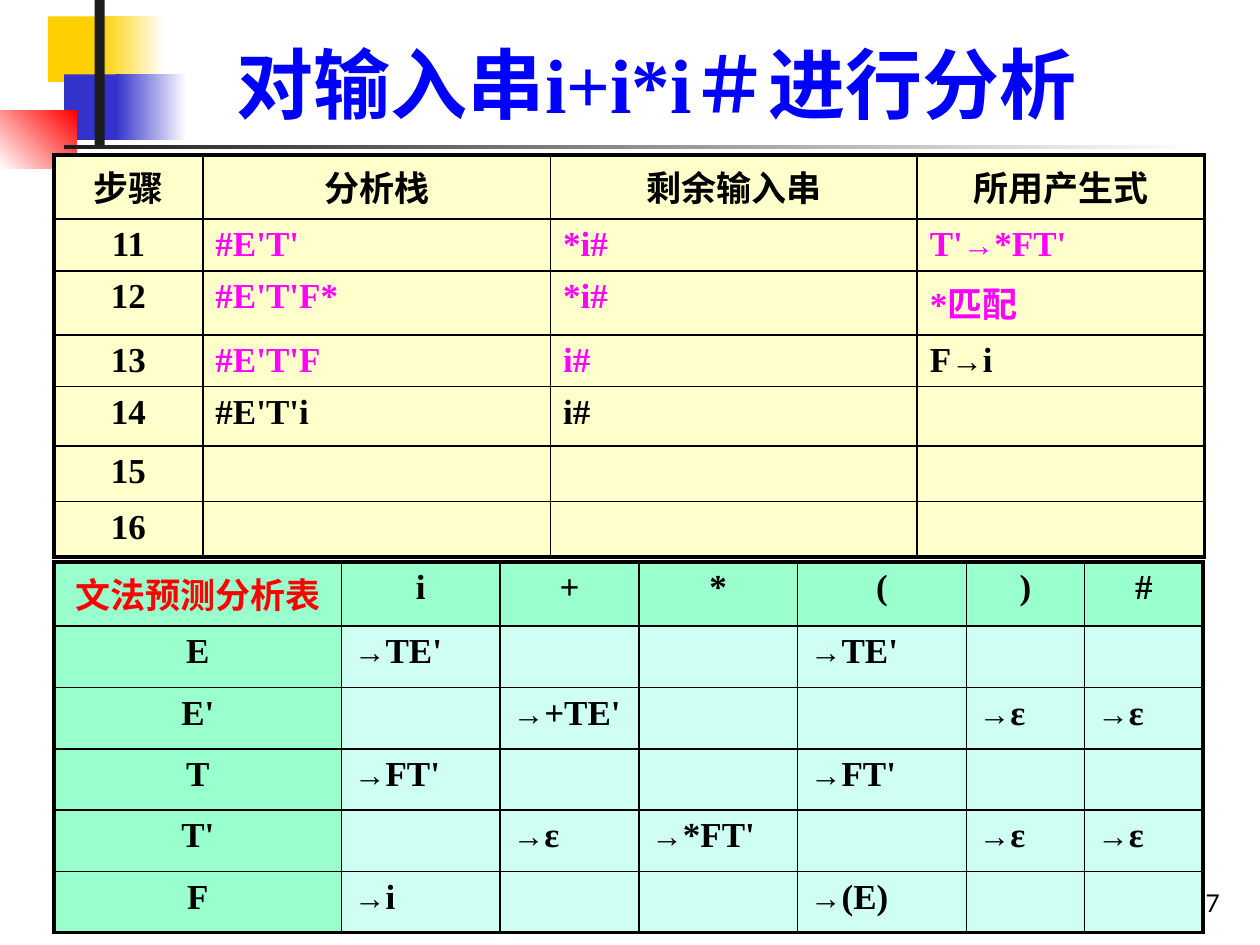
from lxml import etree
from pptx import Presentation
from pptx.dml.color import RGBColor
from pptx.enum.shapes import MSO_SHAPE
from pptx.enum.text import MSO_ANCHOR, MSO_AUTO_SIZE, PP_ALIGN
from pptx.oxml.ns import qn
from pptx.util import Inches, Pt

RECTANGLE = MSO_SHAPE.RECTANGLE
BOTTOM = MSO_ANCHOR.BOTTOM
NO_AUTOFIT = MSO_AUTO_SIZE.NONE
LEFT, CENTER, RIGHT = PP_ALIGN.LEFT, PP_ALIGN.CENTER, PP_ALIGN.RIGHT

COLUMNS, ROWS = 100, 75
TITLE_ONLY = 5
ARROW = "→"
COLORS = {
    "black": "000000", "white": "FFFFFF", "charcoal": "1C1C1C",
    "yellow": "FFCF01", "indigo": "3333CC", "red": "FF0000",
    "blue": "0000FF", "magenta": "FF00FF",
    "cream": "FFFFCC", "mint": "99FFCC", "aqua": "CFFFF2",
}

# left, top, width, height in grid units; fill; gradient end; angle
DECORATIONS = [
    (3.8, 1.3, 6.7, 5.2, "yellow", None, 0),
    (8, 1.3, 5, 5.2, "yellow", "white", 0),
    (5.1, 5.9, 6.4, 5.2, "indigo", None, 0),
    (9.2, 5.9, 5.6, 5.2, "indigo", "white", 0),
    (0, 8.8, 6.1, 4.6, "white", "red", 45),
    (7.5, 0, 0.8, 11.5, "charcoal", None, 0),
    (5.1, 11.5, 90, 0.3, "charcoal", "white", 0),
]

PARSE_STEPS = [
    ["步骤", "分析栈", "剩余输入串", "所用产生式"],
    ["11", "#E'T'", "*i#", "T'→*FT'"],
    ["12", "#E'T'F*", "*i#", "*匹配"],
    ["13", "#E'T'F", "i#", "F→i"],
    ["14", "#E'T'i", "i#", ""],
    ["15", "", "", ""],
    ["16", "", "", ""],
]
SHOWN_STEPS = [(1, 1), (1, 2), (1, 3), (2, 1), (2, 2), (2, 3), (3, 1), (3, 2)]

PREDICTION = [
    ["文法预测分析表", "i", "+", "*", "(", ")", "#"],
    ["E", "→TE'", "", "", "→TE'", "", ""],
    ["E'", "", "→+TE'", "", "", "→ε", "→ε"],
    ["T", "→FT'", "", "", "→FT'", "", ""],
    ["T'", "", "→ε", "→*FT'", "", "→ε", "→ε"],
    ["F", "→i", "", "", "→(E)", "", ""],
]


def rgb(name):
    return RGBColor.from_string(COLORS[name])


class SlideBuilder:
    """Holds the style and the current slide; lengths are grid units."""

    font = "Times New Roman"
    number_font = "Lato"
    cell_size, arrow_size = 20, 18
    outer_line, inner_line = 2.25, 1

    def __init__(self, presentation):
        self.column = presentation.slide_width / COLUMNS
        self.row = presentation.slide_height / ROWS
        layout = presentation.slide_layouts[TITLE_ONLY]
        self.slide = presentation.slides.add_slide(layout)

    def box(self, left, top, width, height):
        return (int(left * self.column), int(top * self.row),
                int(width * self.column), int(height * self.row))

    def add_run(self, paragraph, text, size, color, font=None, bold=True):
        run = paragraph.add_run()
        run.text = text
        run.font.name = font or self.font
        run.font.size = Pt(size)
        run.font.bold = bold
        run.font.color.rgb = rgb(color)

    def text_line(self, shape, text, alignment, size, color, **style):
        frame = shape.text_frame
        frame.word_wrap = True
        frame.auto_size = NO_AUTOFIT
        frame.vertical_anchor = BOTTOM
        paragraph = frame.paragraphs[0]
        paragraph.alignment = alignment
        self.add_run(paragraph, text, size, color, **style)

    def title(self, text, *area):
        shape = self.slide.shapes.title
        shape.left, shape.top, shape.width, shape.height = self.box(*area)
        self.text_line(shape, text, CENTER, 44, "blue")

    def page_number(self, text, *area):
        shape = self.slide.shapes.add_textbox(*self.box(*area))
        self.text_line(shape, text, RIGHT, 14, "black",
                       font=self.number_font, bold=False)

    def rectangle(self, left, top, width, height, color, fade, angle):
        shape = self.slide.shapes.add_shape(
            RECTANGLE, *self.box(left, top, width, height))
        shape.shadow.inherit = False
        shape.line.fill.background()
        if fade is None:
            shape.fill.solid()
            shape.fill.fore_color.rgb = rgb(color)
            return
        shape.fill.gradient()
        shape.fill.gradient_angle = angle
        for stop, name in zip(shape.fill.gradient_stops, (color, fade)):
            stop.color.rgb = rgb(name)

    def borders(self, cell, outer_sides):
        """Draw all four sides; outer_sides maps L, R, T, B to a flag."""
        properties = cell._tc.get_or_add_tcPr()
        for side, is_outer in outer_sides.items():
            width = self.outer_line if is_outer else self.inner_line
            line = etree.SubElement(properties, qn(f"a:ln{side}"),
                                    w=str(int(Pt(width))))
            fill = etree.SubElement(line, qn("a:solidFill"))
            etree.SubElement(fill, qn("a:srgbClr"), val=COLORS["black"])

    def cell_text(self, cell, text, color, alignment):
        paragraph = cell.text_frame.paragraphs[0]
        paragraph.alignment = alignment
        paragraph.font.size = Pt(self.cell_size)
        before, arrow, after = text.partition(ARROW)
        for part in filter(None, (before, arrow, after)):
            size = self.arrow_size if part == ARROW else self.cell_size
            self.add_run(paragraph, part, size, color)

    def table(self, left, top, widths, heights, contents,
              header_fill, body_fill, accents):
        """Accents maps (row, column) to a text colour."""
        area = self.box(left, top, sum(widths), sum(heights))
        last_row, last_column = len(heights) - 1, len(widths) - 1
        table = self.slide.shapes.add_table(
            len(heights), len(widths), *area).table
        table.first_row = table.horz_banding = False
        for column, width in zip(table.columns, widths):
            column.width = int(width * self.column)
        for row, height in zip(table.rows, heights):
            row.height = int(height * self.row)
        for r, texts in enumerate(contents):
            for c, text in enumerate(texts):
                cell = table.cell(r, c)
                is_header = r == 0 or c == 0
                self.borders(cell, {"L": c == 0, "R": c == last_column,
                                    "T": r == 0, "B": r == last_row})
                cell.fill.solid()
                cell.fill.fore_color.rgb = rgb(
                    header_fill if is_header else body_fill)
                self.cell_text(cell, text, accents.get((r, c), "black"),
                               CENTER if is_header else LEFT)


def main():
    presentation = Presentation()
    presentation.slide_width = Inches(10)
    presentation.slide_height = Inches(7.5)
    builder = SlideBuilder(presentation)

    for decoration in DECORATIONS:
        builder.rectangle(*decoration)
    builder.page_number("57", 77, 68.3, 20.8, 5)
    builder.title("对输入串i+i*i＃进行分析", 12.6, 2.3, 79.1, 8.4)
    builder.table(4.3, 44.6, [22.8, 12.6, 11, 12.6, 13.4, 9.4, 9.4],
                  [5.1] + [4.87] * 5, PREDICTION,
                  "mint", "aqua", {(0, 0): "red"})
    builder.table(4.3, 12.3, [11.8, 27.6, 29.1, 22.8],
                  [5.1, 4.1, 5.1, 4.1, 4.7, 4.1, 4.1], PARSE_STEPS,
                  "cream", "cream", dict.fromkeys(SHOWN_STEPS, "magenta"))
    presentation.save("out.pptx")


if __name__ == "__main__":
    main()
